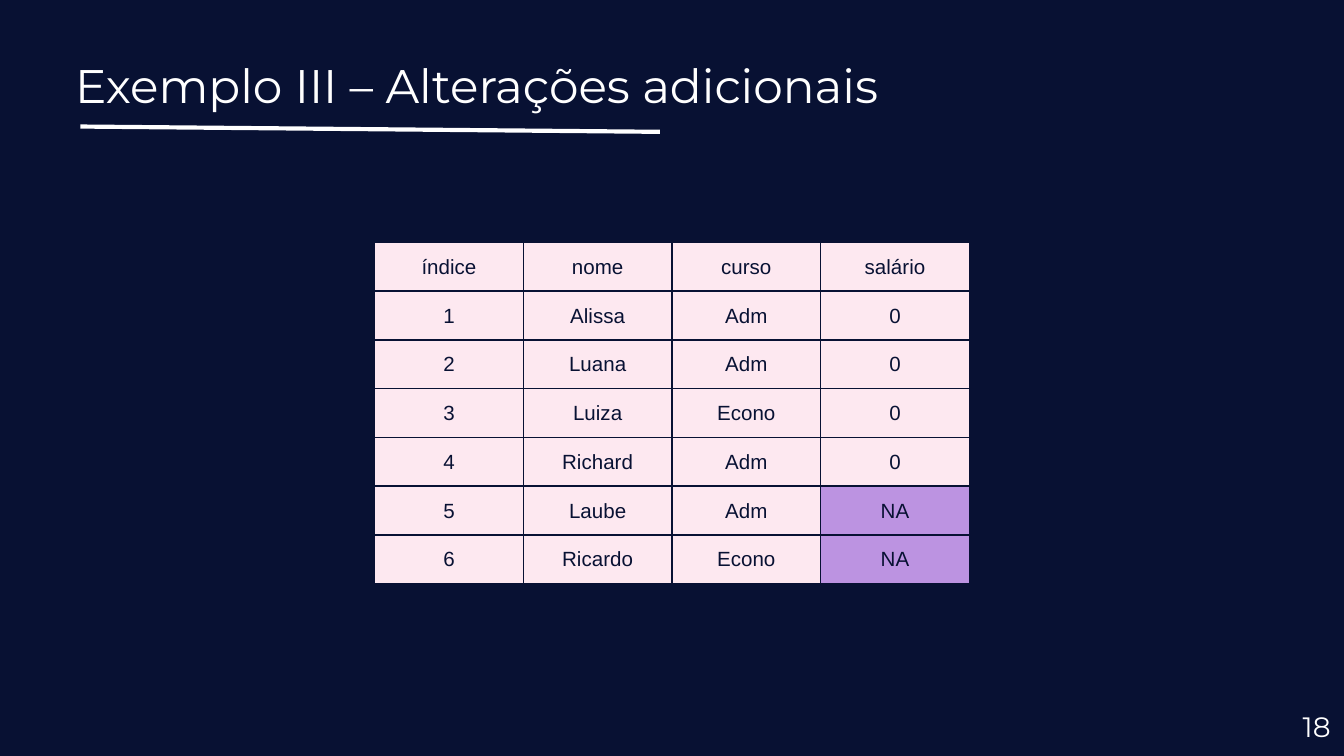
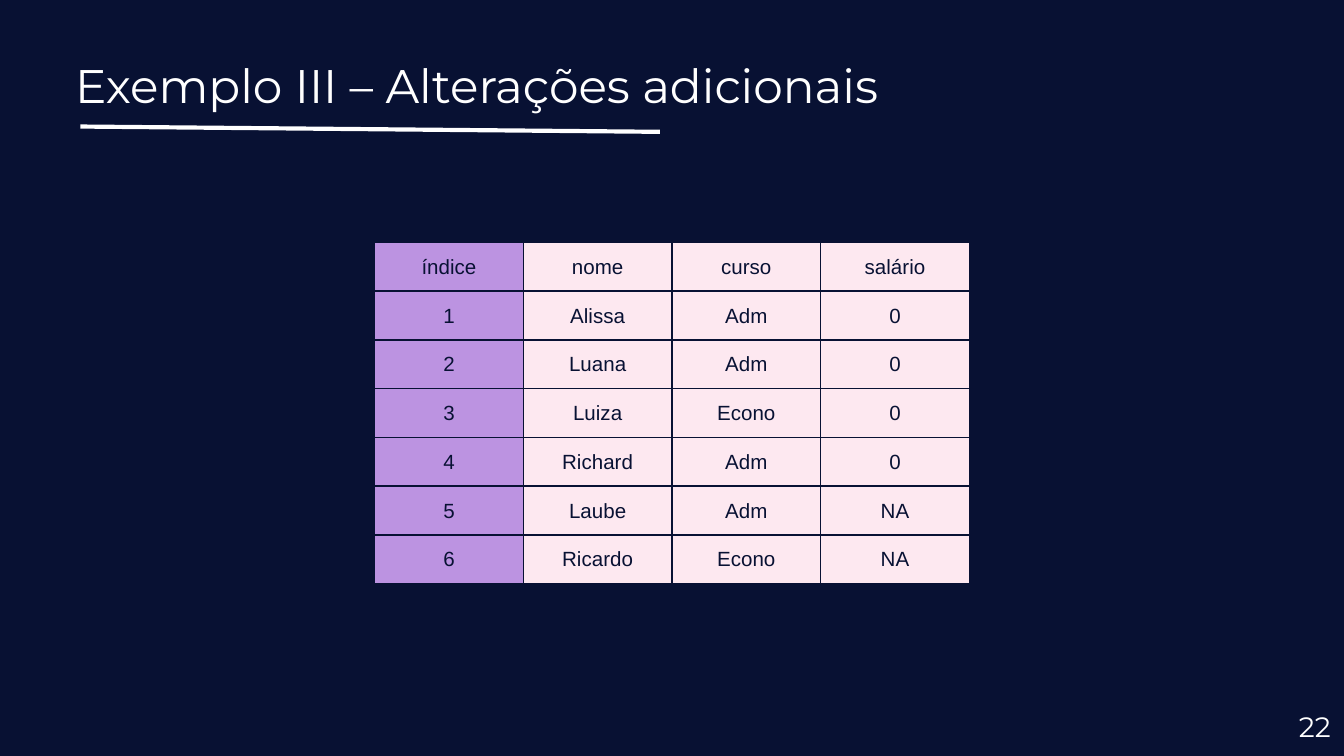
from dataclasses import dataclass

from lxml.etree import SubElement
from pptx import Presentation
from pptx.dml.color import RGBColor
from pptx.enum.shapes import MSO_CONNECTOR as Connector
from pptx.enum.text import MSO_ANCHOR as Anchor, MSO_AUTO_SIZE as AutoSize, PP_ALIGN as Align
from pptx.oxml.ns import qn
from pptx.slide import Slide
from pptx.table import _Cell as Cell
from pptx.text.text import TextFrame
from pptx.util import Cm, Pt

COLORS = {
    "night": "081133",
    "white": "FFFFFF",
    "blush": "FDE8F0",
    "violet": "BC93E1",
}
HEADING_FONT = "Montserrat"
TABLE_FONT = "Arial"
TITLE = "Exemplo III – Alterações adicionais"
TITLE_ONLY_LAYOUT = 5
INSET = Cm(0.25)
COLUMN_WIDTH = Cm(2.81)
ROW_HEIGHT = Cm(0.92)
BORDER_WIDTH = Pt(1)
RECORDS = [
    ("índice", "nome", "curso", "salário"),
    ("1", "Alissa", "Adm", "0"),
    ("2", "Luana", "Adm", "0"),
    ("3", "Luiza", "Econo", "0"),
    ("4", "Richard", "Adm", "0"),
    ("5", "Laube", "Adm", "NA"),
    ("6", "Ricardo", "Econo", "NA"),
]


@dataclass(frozen=True)
class TablePage:
    number: int
    highlighted: frozenset[tuple[int, int]]


PAGES = [
    TablePage(18, frozenset((row, 3) for row in (5, 6))),
    TablePage(22, frozenset((row, 0) for row in range(len(RECORDS)))),
]


def color(name: str) -> RGBColor:
    return RGBColor.from_string(COLORS[name])


def write(frame: TextFrame, text: str, *, size: float, font: str = HEADING_FONT,
          ink: str = "white", align: Align = Align.LEFT) -> None:
    para = frame.paragraphs[0]
    para.alignment = align
    span = para.add_run()
    span.text = text
    span.font.name = font
    span.font.size = Pt(size)
    span.font.color.rgb = color(ink)


def prepare_frame(frame: TextFrame, anchor: Anchor) -> None:
    frame.word_wrap = True
    frame.auto_size = AutoSize.NONE
    frame.vertical_anchor = anchor
    frame.margin_left = frame.margin_right = INSET
    frame.margin_top = frame.margin_bottom = INSET


def draw_heading(page: Slide) -> None:
    rule = page.shapes.add_connector(
        Connector.STRAIGHT, Cm(1.52), Cm(2.39), Cm(12.47), Cm(2.49))
    rule.line.color.rgb = color("white")
    rule.line.width = Pt(2.25)
    SubElement(rule._element.spPr, qn("a:effectLst"))

    title = page.shapes.title
    title.left, title.top = Cm(1.17), Cm(0.81)
    title.width, title.height = Cm(23.67), Cm(1.6)
    prepare_frame(title.text_frame, Anchor.TOP)
    write(title.text_frame, TITLE, size=25.2)


def draw_page_number(page: Slide, number: int) -> None:
    box = page.shapes.add_textbox(Cm(23.88), Cm(13.18), Cm(1.52), Cm(1.09))
    prepare_frame(box.text_frame, Anchor.MIDDLE)
    write(box.text_frame, str(number), size=15, align=Align.RIGHT)


def add_borders(cell: Cell) -> None:
    properties = cell._tc.get_or_add_tcPr()
    for side in ("lnL", "lnR", "lnT", "lnB"):
        border = SubElement(properties, qn(f"a:{side}"), w=str(BORDER_WIDTH))
        fill = SubElement(border, qn("a:solidFill"))
        SubElement(fill, qn("a:srgbClr"), val=COLORS["night"])


def format_cell(cell: Cell, text: str, fill: str) -> None:
    add_borders(cell)
    cell.fill.solid()
    cell.fill.fore_color.rgb = color(fill)
    cell.vertical_anchor = Anchor.MIDDLE
    cell.margin_left = cell.margin_right = cell.margin_top = Cm(0.02)
    cell.margin_bottom = 0
    write(cell.text_frame, text, size=11, font=TABLE_FONT, ink="night", align=Align.CENTER)


def draw_records(page: Slide, highlighted: frozenset[tuple[int, int]]) -> None:
    rows, columns = len(RECORDS), len(RECORDS[0])
    table = page.shapes.add_table(
        rows, columns, Cm(7.08), Cm(4.58), COLUMN_WIDTH * columns, ROW_HEIGHT * rows).table
    table.first_row = table.horz_banding = False
    for row, record in enumerate(RECORDS):
        for column, text in enumerate(record):
            fill = "violet" if (row, column) in highlighted else "blush"
            format_cell(table.cell(row, column), text, fill)


def main() -> None:
    deck = Presentation()
    deck.slide_width, deck.slide_height = Cm(25.4), Cm(14.28)
    background = deck.slide_master.background.fill
    background.solid()
    background.fore_color.rgb = color("night")
    for content in PAGES:
        page = deck.slides.add_slide(deck.slide_layouts[TITLE_ONLY_LAYOUT])
        draw_heading(page)
        draw_page_number(page, content.number)
        draw_records(page, content.highlighted)
    deck.save("out.pptx")


if __name__ == "__main__":
    main()
